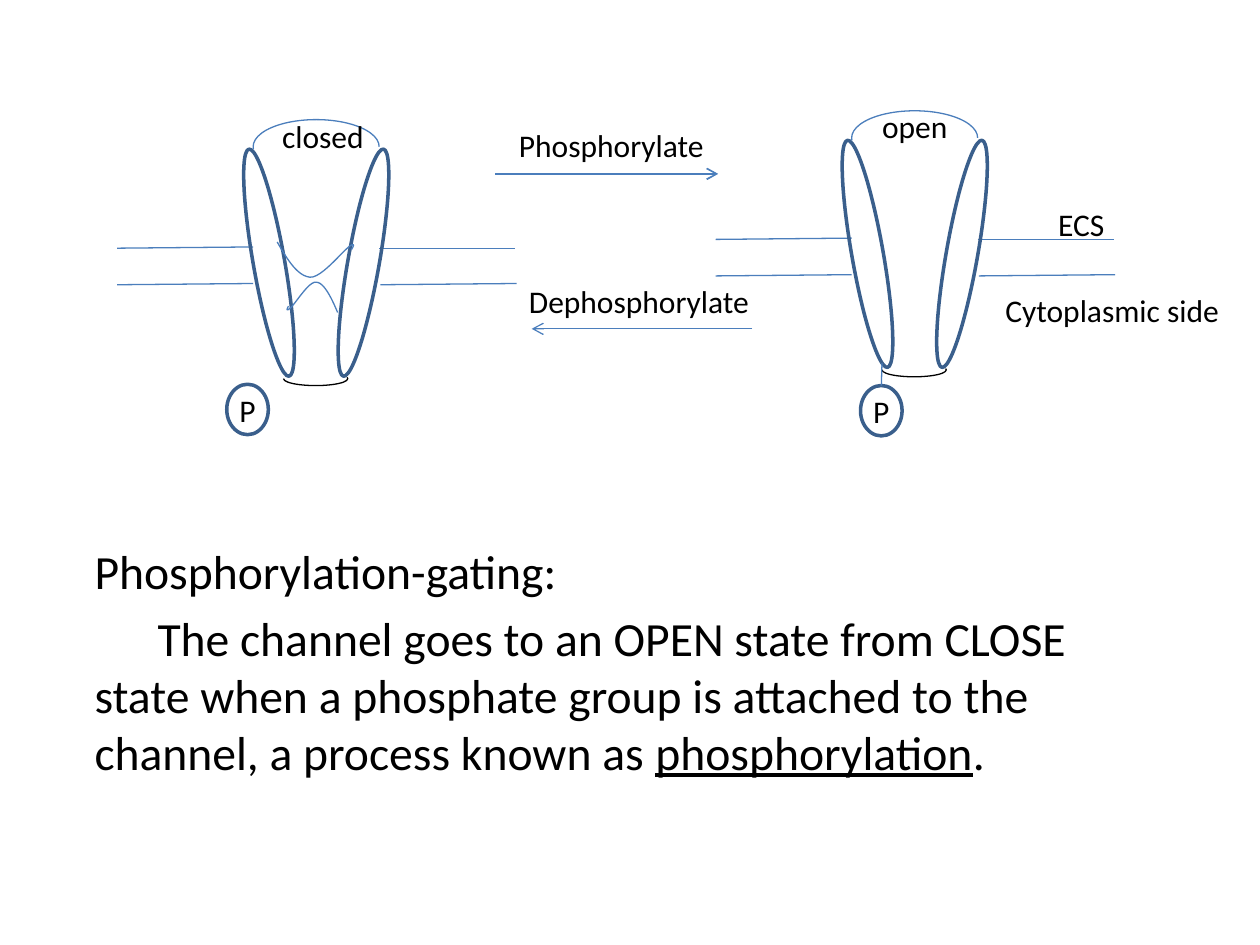
import pptx
import pptx.dml.color
import pptx.enum.shapes
import pptx.enum.text
import pptx.oxml
import pptx.oxml.ns
import pptx.util
from pptx.util import Inches

BLUE = pptx.dml.color.RGBColor(0x4B, 0x7E, 0xBC)
DARK_BLUE = pptx.dml.color.RGBColor(0x3A, 0x5F, 0x8C)
BLACK = pptx.dml.color.RGBColor(0, 0, 0)
SHAPE = pptx.enum.shapes.MSO_SHAPE
STRAIGHT = pptx.enum.shapes.MSO_CONNECTOR.STRAIGHT
NO_AUTOSIZE = pptx.enum.text.MSO_AUTO_SIZE.NONE


def add_run(p, text, size=18):
    r = p.add_run()
    r.text = text
    r.font.name = "Calibri"
    r.font.size = pptx.util.Pt(size)
    r.font.color.rgb = BLACK
    return r


def style(s, color=BLUE, width=0.75, arrow=False):
    """Outline without fill or shadow, with an optional arrowhead."""
    s.line.color.rgb = color
    s.line.width = pptx.util.Pt(width)
    if hasattr(s, "fill"):
        s.fill.background()
        s.shadow.inherit = False
    else:
        pptx.oxml.ns.qn("a:effectLst")
        s._element.spPr.append(pptx.oxml.parse_xml(
            "<a:effectLst %s/>" % pptx.oxml.ns.nsdecls("a")))
    if arrow:
        s.line._get_or_add_ln().append(pptx.oxml.parse_xml(
            '<a:tailEnd %s type="arrow"/>' % pptx.oxml.ns.nsdecls("a")))
    return s


prs = pptx.Presentation()
prs.slide_width, prs.slide_height = Inches(10), Inches(7.5)
slide = prs.slides.add_slide(prs.slide_layouts[1])
shapes = slide.shapes
title = shapes.title._element
title.getparent().remove(title)

# Explanation
body = slide.placeholders[1]
body.left, body.top = Inches(0.65), Inches(4.25)
body.width, body.height = Inches(8.5), Inches(2)
tf = body.text_frame
tf.auto_size = NO_AUTOSIZE
paragraphs = [
    [("Phosphorylation-gating:", False)],
    [("\tThe channel goes to an OPEN state from CLOSE state when a phosphate "
      "group is attached to the channel, a process known as ", False),
     ("phosphorylation", True), (".", False)],
]
for i, runs in enumerate(paragraphs):
    p = tf.paragraphs[0] if i == 0 else tf.add_paragraph()
    p.space_before = pptx.util.Pt(5.4)
    pPr = p._p.get_or_add_pPr()
    pPr.set("marL", "0")
    pPr.set("indent", "0")
    pPr.append(pptx.oxml.parse_xml("<a:buNone %s/>" % pptx.oxml.ns.nsdecls("a")))
    for text, underlined in runs:
        r = add_run(p, text, 27.2)
        if underlined:
            r.font.underline = True

# Closed and open channel: same drawing, shifted
MEMBRANE = [(0.93, 1.97, 2.01, 1.96), (3.01, 1.97, 4.09, 1.97),
            (0.93, 2.26, 2.01, 2.25), (3.02, 2.26, 4.1, 2.25)]
for dx, dy, label in [(0, 0, None), (4.75, -0.07, "open")]:
    for x1, y1, x2, y2 in MEMBRANE:
        style(shapes.add_connector(STRAIGHT, Inches(x1 + dx), Inches(y1 + dy),
                                   Inches(x2 + dx), Inches(y2 + dy)))
    for x, angle in [(2.01, -10), (2.76, 10)]:
        s = shapes.add_shape(SHAPE.OVAL, Inches(x + dx), Inches(1.17 + dy),
                             Inches(0.25), Inches(1.83))
        s.rotation = angle
        style(s, DARK_BLUE, 2)
    for x, y, w, h, angle, color in [(2.01, 0.95, 1, 0.43, 0, BLUE),
                                     (2.25, 2.95, 0.51, 0.11, 180, BLACK)]:
        s = shapes.add_shape(SHAPE.ARC, Inches(x + dx), Inches(y + dy),
                             Inches(w), Inches(h))
        s.adjustments[0], s.adjustments[1] = 106.59, 0
        s.rotation = angle
        style(s, color)
        if label and angle == 0:
            tf = s.text_frame
            tf.vertical_anchor = pptx.enum.text.MSO_ANCHOR.MIDDLE
            tf.paragraphs[0].alignment = pptx.enum.text.PP_ALIGN.CENTER
            add_run(tf.paragraphs[0], label)

# Phosphate groups: free, then bound to the open channel
for x, y in [(1.8, 3.05), (6.83, 3.06)]:
    phosphate = shapes.add_shape(SHAPE.OVAL, Inches(x), Inches(y),
                                 Inches(0.33), Inches(0.4))
    style(phosphate, DARK_BLUE, 2)
    tf = phosphate.text_frame
    tf.margin_left = tf.margin_right = tf.margin_top = tf.margin_bottom = 0
    tf.word_wrap = False
    tf.vertical_anchor = pptx.enum.text.MSO_ANCHOR.MIDDLE
    tf.paragraphs[0].alignment = pptx.enum.text.PP_ALIGN.CENTER
    add_run(tf.paragraphs[0], "P")
bond = shapes.add_connector(STRAIGHT, Inches(7), Inches(3.06), Inches(7), Inches(2.88))
bond.begin_connect(phosphate, 0)
style(bond)

# Reaction arrows
for x1, x2, y, width in [(3.93, 5.7, 1.38, 1), (5.97, 4.22, 2.61, 0.75)]:
    style(shapes.add_connector(STRAIGHT, Inches(x1), Inches(y), Inches(x2), Inches(y)),
          width=width, arrow=True)

# Labels
for text, x, y, w in [("Phosphorylate", 4.02, 0.95, 1.68),
                      ("Dephosphorylate", 4.1, 2.19, 1.97),
                      ("ECS", 8.3, 1.58, 0.57),
                      ("Cytoplasmic side", 7.88, 2.26, 1.92),
                      ("closed", 2.14, 0.88, 0.86)]:
    tf = shapes.add_textbox(Inches(x), Inches(y), Inches(w), Inches(0.4)).text_frame
    tf.word_wrap = False
    add_run(tf.paragraphs[0], text)

# Gate of the closed channel: chained cubic Bézier curves
GATE = [
    [(2.2, 1.92), (2.28, 2.06), (2.36, 2.19), (2.46, 2.2), (2.55, 2.21),
     (2.72, 1.99), (2.78, 1.95), (2.83, 1.92), (2.79, 1.98), (2.79, 1.98)],
    [(2.68, 2.48), (2.63, 2.36), (2.57, 2.24), (2.51, 2.24), (2.45, 2.23),
     (2.34, 2.42), (2.3, 2.45), (2.26, 2.48), (2.29, 2.43), (2.29, 2.43)],
]
STEPS = 12
for curve in GATE:
    points = []
    for i in range(0, len(curve) - 1, 3):
        for step in range(1, STEPS + 1):
            t = step / STEPS
            weights = ((1 - t) ** 3, 3 * t * (1 - t) ** 2, 3 * t * t * (1 - t), t ** 3)
            points.append(tuple(
                Inches(sum(w * c[axis] for w, c in zip(weights, curve[i:i + 4])))
                for axis in (0, 1)))
    builder = shapes.build_freeform(Inches(curve[0][0]), Inches(curve[0][1]))
    builder.add_line_segments(points, close=False)
    style(builder.convert_to_shape())

prs.save("out.pptx")
